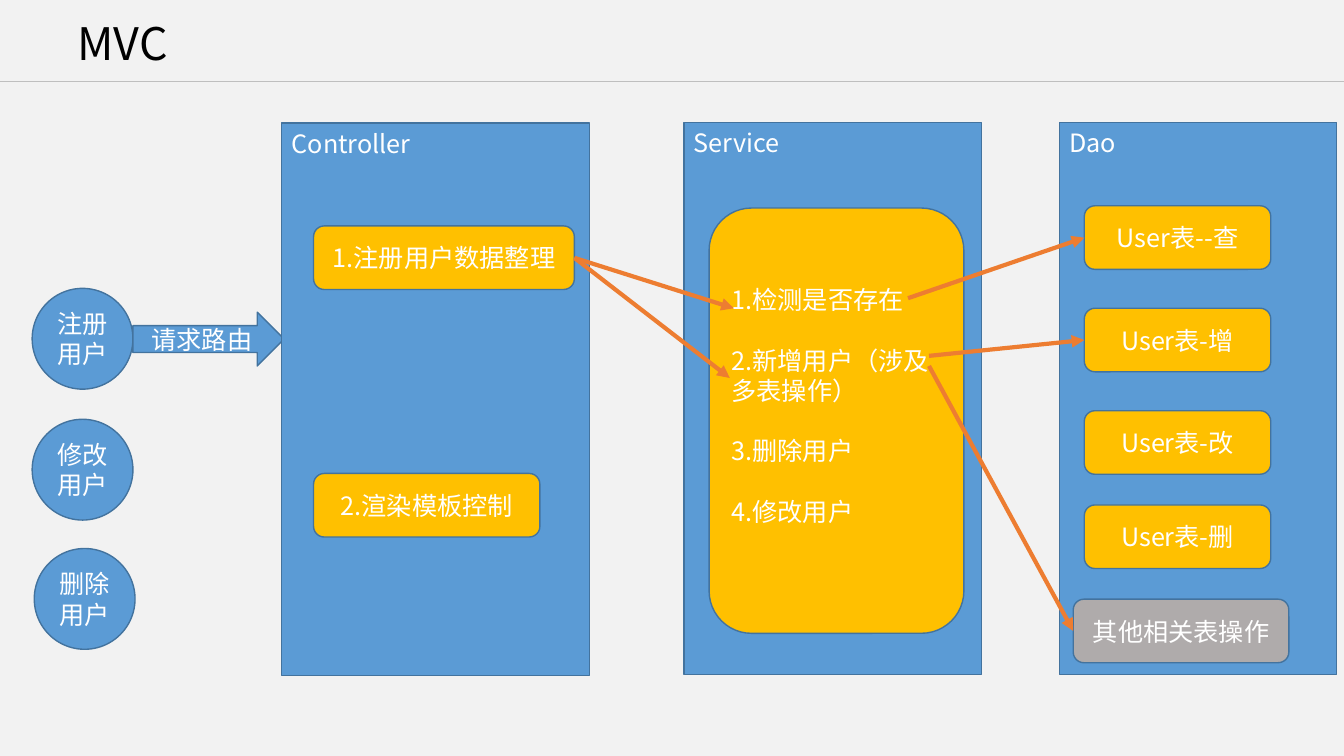
import pptx
import pptx.util
import pptx.dml.color
import pptx.enum.shapes
import pptx.enum.text
import pptx.oxml.ns
from dataclasses import dataclass
from lxml import etree

Pt = pptx.util.Pt
RGB = pptx.dml.color.RGBColor
Kind = pptx.enum.shapes.MSO_SHAPE
Align = pptx.enum.text.PP_ALIGN
Anchor = pptx.enum.text.MSO_ANCHOR
qn = pptx.oxml.ns.qn

FONT = "Noto Sans CJK SC"
PAPER = RGB(0xF2, 0xF2, 0xF2)
BLACK = RGB(0, 0, 0)
WHITE = RGB(0xFF, 0xFF, 0xFF)
BLUE = RGB(0x5B, 0x9B, 0xD5)
EDGE = RGB(0x43, 0x73, 0x9E)
GOLD = RGB(0xFF, 0xC0, 0x00)
GREY = RGB(0xAF, 0xAB, 0xAB)
ORANGE = RGB(0xED, 0x7D, 0x31)
RULE = RGB(0xBF, 0xBF, 0xBF)
LINE = 21.6  # height of one text line
BOX_H = 45.4


@dataclass
class Box:
    text: str
    left: float
    top: float
    width: float
    height: float = BOX_H
    kind: Kind = Kind.ROUNDED_RECTANGLE
    fill: RGB = GOLD
    align: Align = Align.CENTER
    anchor: Anchor = Anchor.MIDDLE
    gap: float = 0
    foot: float = 3.6


@dataclass
class Link:
    x1: float
    y1: float
    x2: float
    y2: float
    color: RGB = ORANGE
    width: float = 3
    head: bool = True


def set_font(para, size: float, color: RGB) -> None:
    font = para.font
    font.name, font.size = FONT, Pt(size)
    font.color.rgb = color
    east = etree.Element(qn("a:ea"), typeface=FONT)
    para._p.pPr.find(qn("a:defRPr")).find(qn("a:latin")).addnext(east)


def draw_box(slide, box: Box) -> None:
    shape = slide.shapes.add_shape(
        box.kind, Pt(box.left), Pt(box.top), Pt(box.width), Pt(box.height))
    shape.shadow.inherit = False
    shape.fill.solid()
    shape.fill.fore_color.rgb = box.fill
    shape.line.color.rgb = EDGE
    shape.line.width = Pt(1)
    frame = shape.text_frame
    frame.word_wrap = True
    frame.vertical_anchor = box.anchor
    frame.margin_bottom = Pt(box.foot)
    frame.text = box.text
    for i, para in enumerate(frame.paragraphs):
        para.alignment = box.align
        if i and box.gap:
            para.space_before = Pt(box.gap)
        set_font(para, 18, WHITE)


def draw_link(slide, link: Link) -> None:
    line = slide.shapes.add_connector(
        pptx.enum.shapes.MSO_CONNECTOR.STRAIGHT,
        Pt(link.x1), Pt(link.y1), Pt(link.x2), Pt(link.y2))
    line.line.color.rgb = link.color
    line.line.width = Pt(link.width)
    props = line._element.spPr
    if link.head:
        etree.SubElement(props.find(qn("a:ln")), qn("a:tailEnd"), type="triangle")
    etree.SubElement(props, qn("a:effectLst"))


def panel(text: str, left: float, top: float, width: float) -> Box:
    return Box(text, left, top, width, 394.6, Kind.RECTANGLE, BLUE,
               Align.LEFT, Anchor.TOP)


def circle(text: str, left: float, top: float) -> Box:
    return Box(text, left, top, 72, 72, Kind.OVAL, BLUE)


# Slide and title
deck = pptx.Presentation()
deck.slide_width, deck.slide_height = Pt(960), Pt(540)
slide = deck.slides.add_slide(deck.slide_layouts[5])
slide.background.fill.solid()
slide.background.fill.fore_color.rgb = PAPER
draw_link(slide, Link(0, 58.2, 960, 58.2, RULE, 0.5, False))

title = slide.shapes.title
title.left, title.top, title.width, title.height = Pt(48.2), Pt(10.8), Pt(483), Pt(44.6)
title.text_frame.text = "MVC"
title.text_frame.vertical_anchor = Anchor.MIDDLE
head = title.text_frame.paragraphs[0]
head.alignment = Align.LEFT
head.line_spacing = 0.9
set_font(head, 32, BLACK)

# Requests, layers and their steps
STEPS = "1.检测是否存在\n2.新增用户（涉及多表操作）\n3.删除用户\n4.修改用户"
TABLES = {"--查": 147, "-增": 220.2, "-改": 293.4, "-删": 360.7}
boxes = [
    circle("注册用户", 23, 206),
    circle("修改用户", 23, 299.5),
    circle("删除用户", 24.5, 391.8),
    Box("请求路由", 95, 223, 108, 38.4, Kind.RIGHT_ARROW, BLUE),
    panel("Controller", 201.3, 87.8, 219.6),
    panel("Service", 488.6, 87.3, 212.4),
    panel("Dao", 756.7, 87.3, 198),
    Box("1.注册用户数据整理", 224, 161.4, 186.3),
    Box("2.渲染模板控制", 224, 338.2, 161.7),
    Box(STEPS, 506.5, 148.6, 182, 303.8, align=Align.LEFT, gap=LINE,
        foot=3.6 + LINE),
    *[Box("User表" + act, 774.5, top, 133.2) for act, top in TABLES.items()],
    Box("其他相关表操作", 766.6, 428, 154, fill=GREY),
]
for box in boxes:
    draw_box(slide, box)

# Calls between the layers
links = [
    Link(410.3, 184.2, 524.2, 220.2),
    Link(410.3, 184.2, 521.3, 270),
    Link(648.6, 213, 774.5, 169.8),
    Link(663.6, 254.2, 774.5, 242.9),
    Link(663.6, 261.4, 766.6, 450.7),
]
for link in links:
    draw_link(slide, link)

deck.save("out.pptx")
